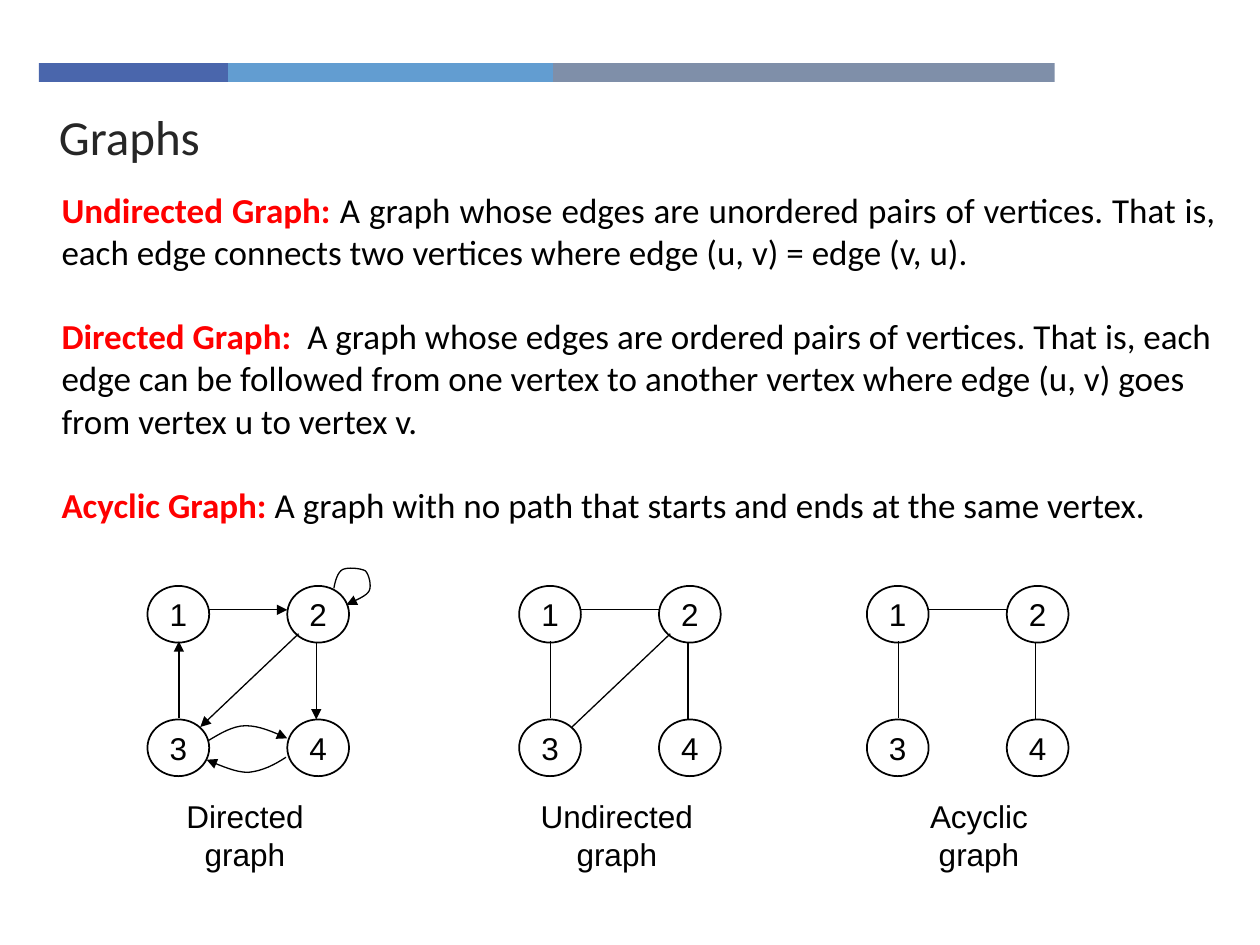
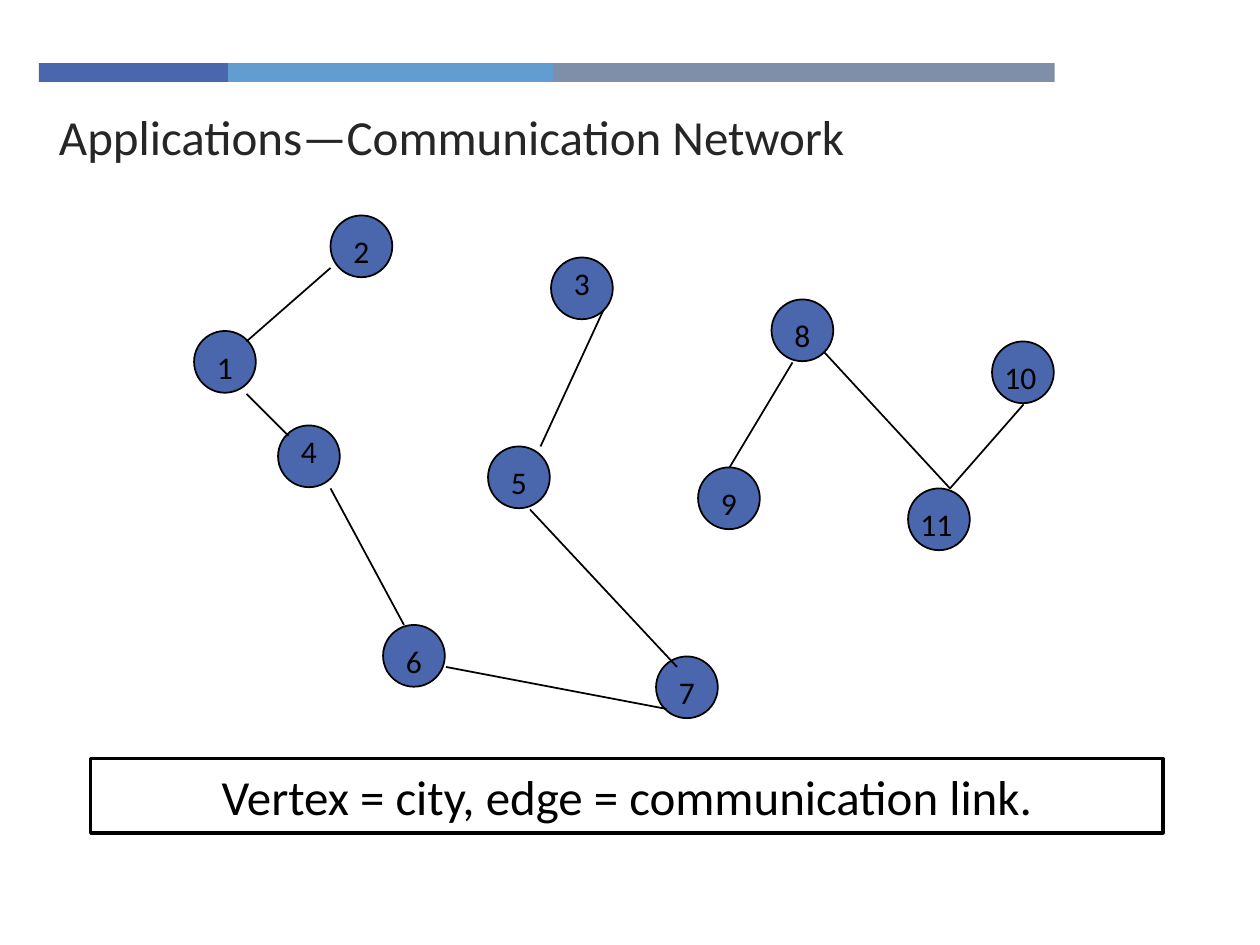
from lxml import etree
from pptx import Presentation
from pptx.dml.color import RGBColor
from pptx.enum.shapes import MSO_CONNECTOR, MSO_SHAPE
from pptx.enum.text import MSO_ANCHOR, PP_ALIGN
from pptx.oxml.ns import qn
from pptx.util import Inches, Pt

RECTANGLE, ELLIPSE = MSO_SHAPE.RECTANGLE, MSO_SHAPE.OVAL
STRAIGHT = MSO_CONNECTOR.STRAIGHT
LEFT, CENTER, JUSTIFY = PP_ALIGN.LEFT, PP_ALIGN.CENTER, PP_ALIGN.JUSTIFY
TOP, MIDDLE = MSO_ANCHOR.TOP, MSO_ANCHOR.MIDDLE

BLACK, WHITE, RED, TITLE_GREY = "000000", "FFFFFF", "FF0000", "262626"
BLUE, LIGHT_BLUE, SLATE = "4A66AC", "629DD1", "7F8FA9"

presentation = Presentation()
presentation.slide_width, presentation.slide_height = Inches(10), Inches(7.5)
CELL = presentation.slide_width // 100
STEP = presentation.slide_width // 120


def draw(slide, kind, box, fill=None, weight=None):
    shape = slide.shapes.add_shape(kind, *(round(length * CELL) for length in box))
    shape.shadow.inherit = False
    if fill:
        shape.fill.solid()
        shape.fill.fore_color.rgb = RGBColor.from_string(fill)
    else:
        shape.fill.background()
    if weight:
        shape.line.color.rgb = RGBColor.from_string(BLACK)
        shape.line.width = Pt(weight)
    else:
        shape.line.fill.background()
    return shape


def write(shape, text, font, size, colour=BLACK, align=LEFT, anchor=TOP, wrap=True):
    frame = shape.text_frame
    frame.text = text
    frame.word_wrap = wrap
    frame.vertical_anchor = anchor
    for paragraph in frame.paragraphs:
        paragraph.alignment = align
        for run in paragraph.runs:
            run.font.name = font
            run.font.size = Pt(size)
            run.font.color.rgb = RGBColor.from_string(colour)


slides = []
for title in ["Graphs", "Applications—Communication Network"]:
    slide = presentation.slides.add_slide(presentation.slide_layouts[6])
    band_left = 3.1
    for band_width, colour in [(15, BLUE), (25.8, LIGHT_BLUE), (39.8, SLATE)]:
        draw(slide, RECTANGLE, (band_left, 5, band_width, 1.5), colour)
        band_left += band_width
    title_box = slide.shapes.add_textbox(*(round(n * CELL) for n in (3.7, 8, 71.6, 5.4)))
    write(title_box, title, "Calibri", 28, TITLE_GREY)
    slides.append(slide)
graphs_slide, network_slide = slides
strokes = []

GRAPH_TOP = 46.5
EDGES = [
    [(4.9, 1.9), (11.1, 1.9)],
    [(13.4, 4.5), (13.4, 10.6)],
    [(2.5, 10.5), (2.5, 4.4)],
    [(12, 3.8), (4.2, 11.2)],
]
CURVES = [
    [(4.8, 12.3), (5.8, 11.7), (6.8, 11.1), (7.8, 11.1), (8.9, 11.1), (10, 11.6), (11.1, 12.1)],
    [(11, 13.6), (10.1, 14.2), (9.1, 14.7), (8, 14.8), (7, 14.8), (5.9, 14.3), (4.7, 13.8)],
    [(14.8, 0.2), (14.9, -0.4), (15.1, -1.1), (15.5, -1.3), (15.9, -1.5), (16.9, -1.4),
     (17.3, -1.2), (17.6, -0.9), (17.8, 0), (17.6, 0.4), (17.4, 0.8), (16.6, 1.1), (15.8, 1.5)],
]
curved_edges = []
for controls in CURVES:
    points = [controls[0]]
    for first in range(0, len(controls) - 1, 3):
        start, pull, push, end = controls[first:first + 4]
        for part in range(1, 9):
            t = part / 8
            points.append(tuple(
                (1 - t) ** 3 * a + 3 * (1 - t) ** 2 * t * b + 3 * (1 - t) * t ** 2 * c + t ** 3 * d
                for a, b, c, d in zip(start, pull, push, end)))
    curved_edges.append(points)

GRAPHS = [
    (11.7, "Directed", 13.8, 11.3, EDGES + curved_edges, True),
    (41.2, "Undirected", 41.9, 14.1, EDGES, False),
    (68.8, "Acyclic", 72.8, 9.8, EDGES[:3], False),
]
for graph_left, name, caption_left, caption_width, edges, arrow in GRAPHS:
    for index in range(4):
        row, column = divmod(index, 2)
        box = (graph_left + 11.1 * column, GRAPH_TOP + 10.6 * row, 4.9, 4.5)
        node = draw(graphs_slide, ELLIPSE, box, weight=1)
        write(node, str(index + 1), "Arial", 18, align=CENTER, anchor=MIDDLE, wrap=False)
    for edge in edges:
        points = [((graph_left + x) * CELL, (GRAPH_TOP + y) * CELL) for x, y in edge]
        strokes.append((graphs_slide, points, 0.75, arrow))
    caption = graphs_slide.shapes.add_textbox(
        *(round(n * CELL) for n in (caption_left, 62.8, caption_width, 7)))
    write(caption, f"{name}\ngraph", "Arial", 18, align=CENTER, wrap=False)

DEFINITIONS = [
    ("Undirected Graph: ", "A graph whose edges are unordered pairs of vertices. That is, each edge "
     "connects two vertices where edge (u, v) = edge (v, u).", JUSTIFY),
    ("Directed Graph: \u00a0", "A graph whose edges are ordered pairs of vertices. That is, each edge "
     "can be followed from one vertex to another vertex where edge (u, v) goes from vertex u "
     "to vertex v.", LEFT),
    ("Acyclic Graph: ", "A graph with no path that starts and ends at the same vertex.", LEFT),
]
definitions = graphs_slide.shapes.add_textbox(*(round(n * CELL) for n in (3.9, 14.5, 93.6, 27.9)))
write(definitions, "\n".join(term for term, meaning, align in DEFINITIONS), "Calibri", 20, RED)
for index, (term, meaning, align) in enumerate(DEFINITIONS):
    paragraph = definitions.text_frame.paragraphs[index]
    paragraph.alignment = align
    paragraph.space_before = Pt(24 if index else 0)
    paragraph.runs[0].font.bold = True
    run = paragraph.add_run()
    run.text = meaning
    run.font.name = "Calibri"
    run.font.size = Pt(20)
    run.font.color.rgb = RGBColor.from_string(BLACK)

NETWORK_LEFT, NETWORK_TOP = 15.4 * CELL, 17.1 * CELL
CITIES = {
    1: (0, 11), 2: (13, 0), 3: (34, 4), 4: (8, 20), 5: (28, 22), 6: (18, 39),
    7: (44, 42), 8: (55, 8), 9: (48, 24), 10: (76, 12), 11: (68, 26),
}
LINKS = [
    [(13, 5), (5, 12)], [(5, 17), (9, 21)], [(13, 26), (20, 39)],
    [(24, 43), (45, 47)], [(39, 9), (33, 22)], [(32, 28), (46, 43)],
    [(57, 14), (51, 24)], [(60, 13), (72, 26)], [(72, 26), (79, 18)],
]
for city, (column, row) in CITIES.items():
    left, top = NETWORK_LEFT + column * STEP, NETWORK_TOP + row * STEP
    draw(network_slide, ELLIPSE, (left / CELL, top / CELL, 4.9, 4.9), BLUE, 1)
    label_left = left + (STEP if city < 10 else 0)
    label_top = top + (0 if city in (3, 4) else STEP)
    label_width = (3 if city < 10 else 6) * STEP
    label = network_slide.shapes.add_textbox(
        round(label_left), round(label_top), label_width, round(4.3 * CELL))
    write(label, str(city), "Calibri", 18, wrap=city >= 10)
for link in LINKS:
    points = [(NETWORK_LEFT + x * STEP, NETWORK_TOP + y * STEP) for x, y in link]
    strokes.append((network_slide, points, 1, False))
legend = draw(network_slide, RECTANGLE, (7.2, 60.2, 85.1, 5.9), WHITE, 2)
write(legend, "Vertex = city, edge = communication link.", "Calibri", 28, align=CENTER, anchor=MIDDLE)

for slide, points, weight, arrow in strokes:
    points = [(round(x), round(y)) for x, y in points]
    if len(points) == 2:
        stroke = slide.shapes.add_connector(STRAIGHT, *points[0], *points[1])
    else:
        builder = slide.shapes.build_freeform(*points[0])
        builder.add_line_segments(points[1:], close=False)
        stroke = builder.convert_to_shape()
        stroke.fill.background()
    stroke.line.color.rgb = RGBColor.from_string(BLACK)
    stroke.line.width = Pt(weight)
    properties = stroke.element.spPr
    if arrow:
        etree.SubElement(properties.find(qn("a:ln")), qn("a:tailEnd"), type="triangle")
    etree.SubElement(properties, qn("a:effectLst"))

presentation.save("out.pptx")
